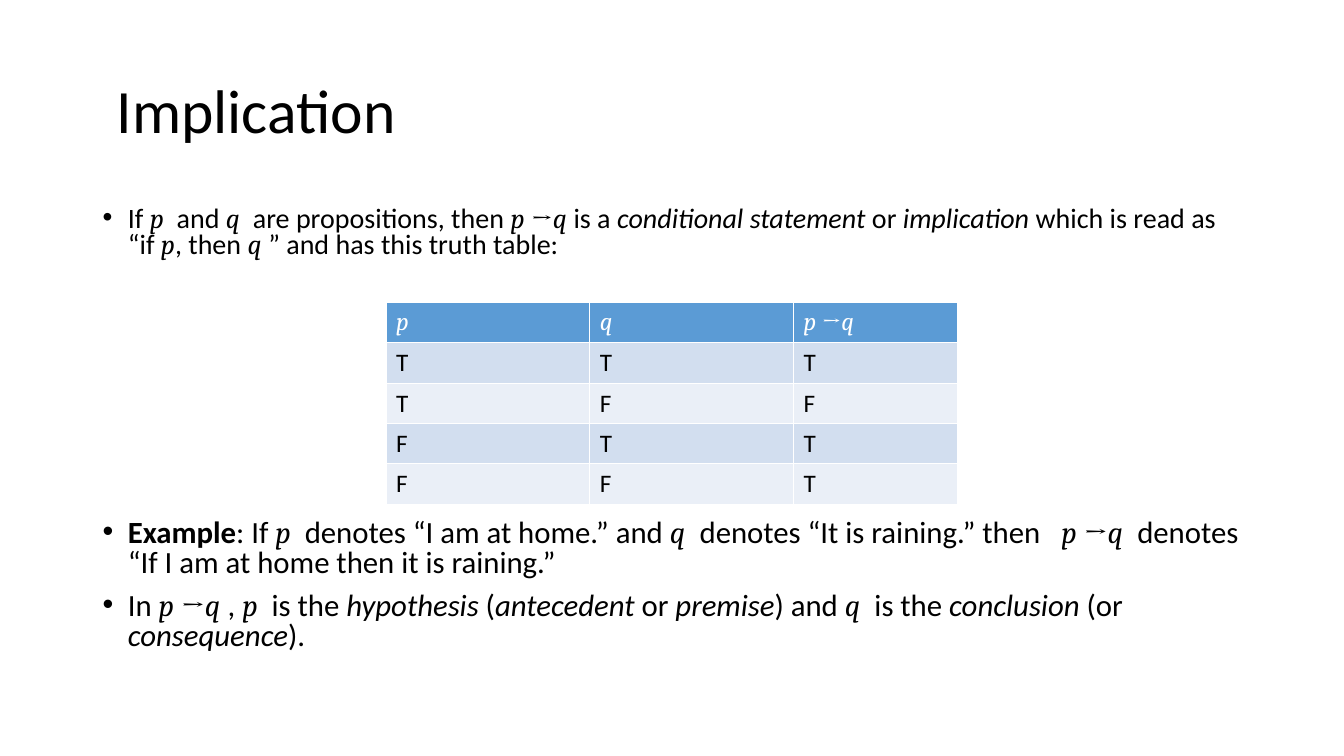
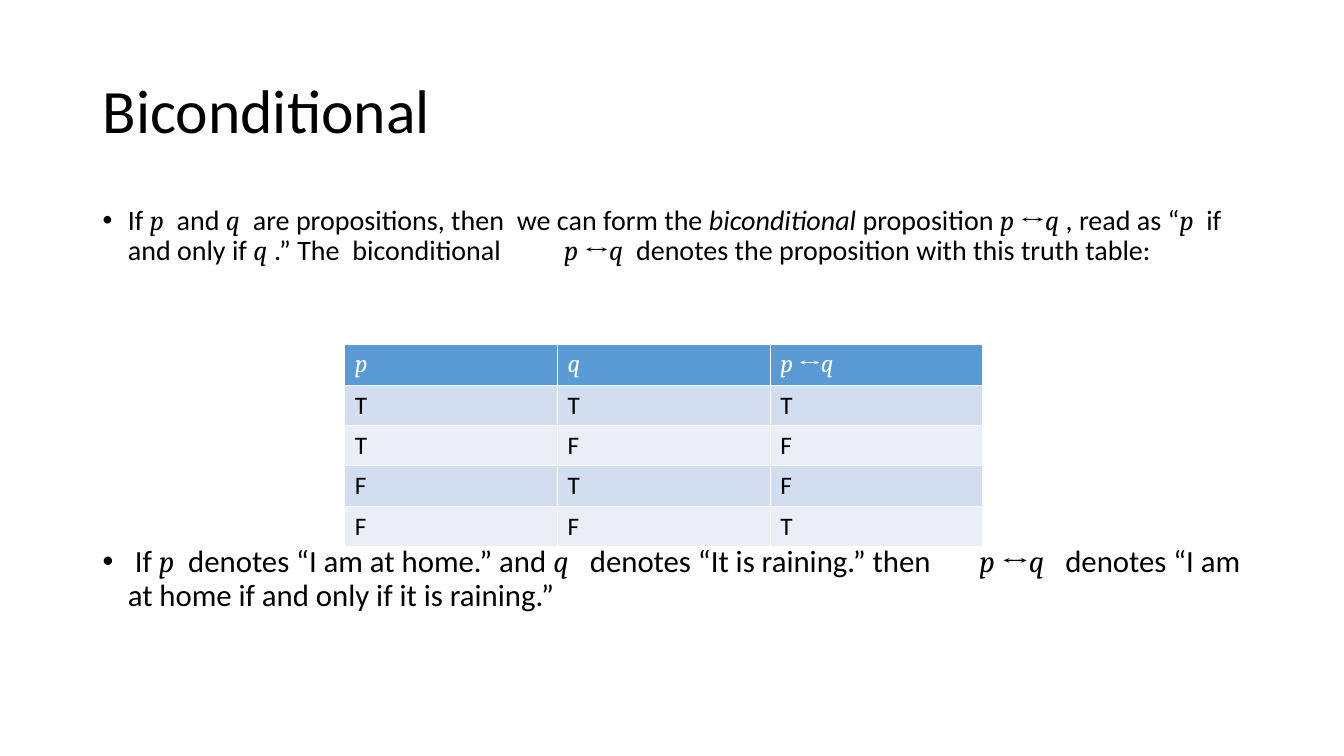
from pptx import Presentation, util as u
from pptx.dml.color import RGBColor
from pptx.enum import text
from pptx.oxml.ns import qn
from lxml import etree

HUE = {"ink": "000000", "white": "FFFFFF", "head": "5B9BD5", "dark": "D2DEEF", "pale": "EAEFF7"}
SANS, MATH = "Calibri", "Cambria"
SPACE = 0.225  # width of a space, as a share of the font size

# Runs are split by "|": $ variable, _ italic, * bold, ~n gap as wide as n spaces
PAGES = [
    dict(
        title=" Implication", sign="→", lead=0.8, low=5.11,
        top="If |$p|~2|and |$q|~2|are propositions, then |$p |→|$q| is a |_conditional statement |or "
            "|_implication |which is read as “if |$p|, then |$q| ” and has this truth table:",
        notes=["*Example|: If |$p|~2|denotes “I am at home.” and |$q|~2|denotes “It is raining.” then"
               "|~3|$p |→|$q|~2|denotes “If I am at home then it is raining.”",
               "In |$p |→|$q| , |$p|~2|is the |_hypothesis| (|_antecedent| or |_premise|) and "
               "|$q|~2|is the |_conclusion| (or |_consequence|)."],
        spot=(3.83, 3), cols=(2.02, 2.02, 1.63), truth="TFTT"),
    dict(
        title="Biconditional", sign="↔", lead=0.9, low=5.37,
        top="If |$p|~2|and |$q|~2|are propositions, then|~2|we can form the |_biconditional |proposition "
            "|$p |↔|$q| , read as “|$p|~2|if and only if |$q| .” The|~2|biconditional|~10|$p |↔|$q|~2|"
            "denotes the proposition with this truth table:",
        notes=[" If |$p|~2|denotes “I am at home.” and |$q|~3|denotes “It is raining.” then"
               "|~7|$p |↔|$q|~3|denotes “I am at home if and only if it is raining.”"],
        spot=(3.42, 3.42), cols=(2.11, 2.11, 2.11), truth="TFFT"),
]


def write(par, line, size, hue="ink"):
    """Add the marked runs of a line to a paragraph."""
    for part in line.split("|"):
        mark = part[0] if part[0] in "$_*~" else ""
        run = par.add_run()
        run.text = " " if mark == "~" else part[len(mark):]
        font = run.font
        font.size = u.Pt(size)
        font.name = MATH if mark == "$" or part in "→↔" else SANS
        font.bold = mark == "*"
        font.italic = mark in ("$", "_")
        font.color.rgb = RGBColor.from_string(HUE[hue])
        if mark == "~":
            wide = (int(part[1:]) - 1) * SPACE * size
            font._element.set("spc", str(round(wide * 100)))


def box(page, top, high, lines, size, lead, dot=True):
    """Add a text box across the slide, with or without bullets."""
    frame = page.shapes.add_textbox(u.Inches(0.92), u.Inches(top), u.Inches(11.5), u.Inches(high)).text_frame
    frame.word_wrap = True
    for i, line in enumerate(lines):
        par = frame.add_paragraph() if i else frame.paragraphs[0]
        par.line_spacing = lead
        if i:
            par.space_before = u.Pt(10)
        if dot:
            prop = par._p.get_or_add_pPr()
            prop.set("marL", str(u.Inches(0.25)))
            prop.set("indent", str(-u.Inches(0.25)))
            etree.SubElement(prop, qn("a:buFont"), typeface="Arial")
            etree.SubElement(prop, qn("a:buChar"), char="•")
        write(par, line, size)
    return frame


deck = Presentation()
deck.slide_width, deck.slide_height = u.Inches(13.33), u.Inches(7.5)

for data in PAGES:
    page = deck.slides.add_slide(deck.slide_layouts[6])

    # Title and text
    head = box(page, 0.4, 1.45, [data["title"]], 44, 0.9, dot=False)
    head.vertical_anchor = text.MSO_ANCHOR.MIDDLE
    box(page, 2, 0.8, [data["top"]], 20, data["lead"])
    box(page, data["low"], 6.76 - data["low"], data["notes"], 22, data["lead"])

    # Truth table
    rows = [["$p", "$q", f"$p |{data['sign']}|$q"]]
    rows += [[*pair, end] for pair, end in zip(("TT", "TF", "FT", "FF"), data["truth"])]
    left, top = data["spot"]
    grid = page.shapes.add_table(len(rows), 3, u.Inches(left), u.Inches(top),
                                 u.Inches(sum(data["cols"])), u.Inches(2)).table
    for col, wide in zip(grid.columns, data["cols"]):
        col.width = u.Inches(wide)
    for r, row in enumerate(rows):
        fill = "head" if r == 0 else "dark" if r % 2 else "pale"
        for c, word in enumerate(row):
            cell = grid.cell(r, c)
            cell.fill.solid()
            cell.fill.fore_color.rgb = RGBColor.from_string(HUE[fill])
            write(cell.text_frame.paragraphs[0], word, 18, "ink" if r else "white")

deck.save("out.pptx")
